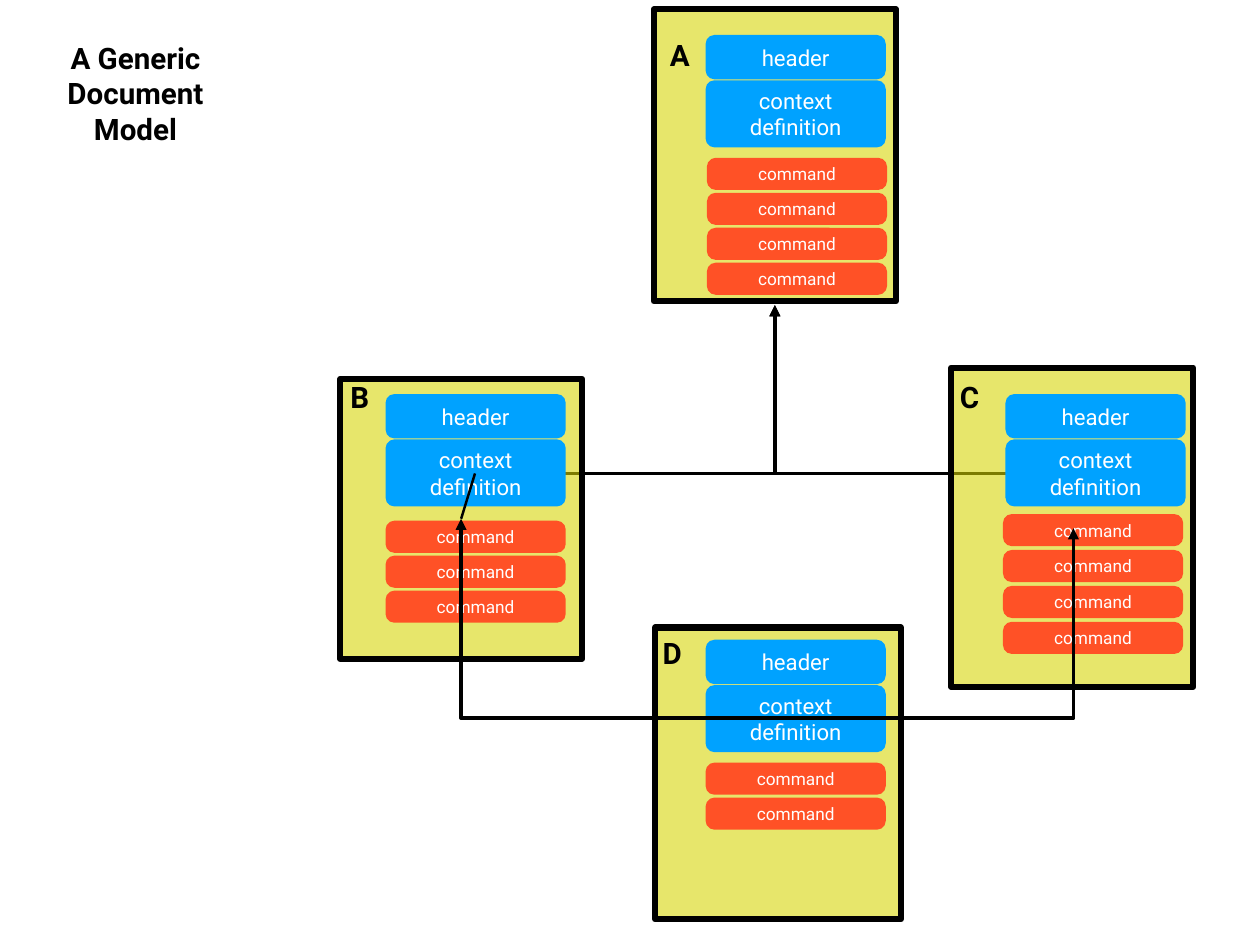
from dataclasses import dataclass

from lxml.etree import SubElement
from pptx import Presentation
from pptx.dml.color import RGBColor
from pptx.enum.shapes import MSO_CONNECTOR, MSO_SHAPE
from pptx.enum.text import MSO_ANCHOR, MSO_AUTO_SIZE, PP_ALIGN
from pptx.oxml.ns import qn
from pptx.util import Inches, Pt

BLACK = RGBColor(0x00, 0x00, 0x00)
WHITE = RGBColor(0xFF, 0xFF, 0xFF)
OLIVE = RGBColor(0xD7, 0xD5, 0x00)
BLUE = RGBColor(0x00, 0xA2, 0xFF)
ORANGE = RGBColor(0xFF, 0x51, 0x26)

# Lengths are percentages of the slide's width (x) and height (y).
BLOCK_WIDTH = 14.3
HEADER_HEIGHT = 4.7
CONTEXT_HEIGHT = 7.1
COMMAND_HEIGHT = 3.4
CONTEXT_OFFSET = 4.8


@dataclass
class Document:
    """One document: its panel box, letter corner and the start of its blocks."""
    letter: str
    panel: tuple
    letter_at: tuple
    header_at: tuple
    first_command_at: tuple
    commands: int
    pitch: float = 3.7


DOCUMENTS = [
    Document("A", (51.9, 1.0, 19.2, 30.9), (52.7, 3.4), (56.0, 3.7), (56.1, 16.7), 4),
    Document("B", (27.0, 40.1, 19.2, 29.6), (27.3, 39.6), (30.6, 41.7), (30.6, 55.1), 3),
    Document("C", (75.5, 38.9, 19.2, 33.8), (75.7, 39.6), (79.8, 41.7), (79.6, 54.4), 4, 3.8),
    Document("D", (52.0, 66.4, 19.5, 30.9), (52.1, 66.7), (56.0, 67.7), (56.0, 80.7), 2),
]

CONTEXT_B = (37.7, 50.1)
CONTEXT_C = (86.9, 50.1)
BELOW_A = (61.5, 32.3)
CONTEXT_D = (63.2, 76.0)
COMMAND_B = (36.6, 54.9)
COMMAND_C = (85.2, 55.9)


class DiagramSlide:
    font = "Roboto"
    inset = Inches(0.06)

    def __init__(self, deck):
        self.width, self.height = deck.slide_width, deck.slide_height
        self.slide = deck.slides.add_slide(deck.slide_layouts[5])
        self.shapes = self.slide.shapes

    def point(self, x, y):
        return round(self.width * x / 100), round(self.height * y / 100)

    def box(self, x, y, width, height):
        return *self.point(x, y), *self.point(width, height)

    def set_text(self, shape, text, size, color, bold=False, wrap=True):
        frame = shape.text_frame
        frame.text = text
        frame.auto_size = MSO_AUTO_SIZE.NONE
        frame.word_wrap = wrap
        frame.vertical_anchor = MSO_ANCHOR.MIDDLE
        frame.margin_left = frame.margin_right = self.inset
        frame.margin_top = frame.margin_bottom = self.inset
        for paragraph in frame.paragraphs:
            paragraph.alignment = PP_ALIGN.CENTER
            paragraph.font.name = self.font
            paragraph.font.size = Pt(size)
            paragraph.font.bold = bold
            paragraph.font.color.rgb = color

    def title(self, text, *box):
        heading = self.shapes.title
        heading.left, heading.top, heading.width, heading.height = self.box(*box)
        self.set_text(heading, text, 24, BLACK, bold=True)

    def panel(self, *box):
        panel = self.shapes.add_shape(MSO_SHAPE.RECTANGLE, *self.box(*box))
        panel.shadow.inherit = False
        panel.fill.solid()
        panel.fill.fore_color.rgb = OLIVE
        tint = panel._element.spPr.find(qn("a:solidFill"))[0]
        SubElement(tint, qn("a:alpha"), val="58000")
        panel.line.color.rgb = BLACK
        panel.line.width = Pt(5)

    def letter(self, text, x, y):
        label = self.shapes.add_textbox(*self.box(x, y, 2.5, 4.7))
        self.set_text(label, text, 24, BLACK, bold=True, wrap=False)

    def block(self, text, x, y, height, color, size):
        block = self.shapes.add_shape(
            MSO_SHAPE.ROUNDED_RECTANGLE, *self.box(x, y, BLOCK_WIDTH, height))
        block.adjustments[0] = Inches(0.1) / block.height
        block.shadow.inherit = False
        block.fill.solid()
        block.fill.fore_color.rgb = color
        block.line.fill.background()
        self.set_text(block, text, size, WHITE)

    def document(self, doc):
        self.panel(*doc.panel)
        self.letter(doc.letter, *doc.letter_at)
        x, y = doc.header_at
        self.block("header", x, y, HEADER_HEIGHT, BLUE, 18)
        self.block("context\ndefinition", x, y + CONTEXT_OFFSET, CONTEXT_HEIGHT, BLUE, 18)
        x, y = doc.first_command_at
        for row in range(doc.commands):
            self.block("command", x, y + row * doc.pitch, COMMAND_HEIGHT, ORANGE, 14)

    def elbow_arrow(self, start, end):
        """Draw a line that leaves start sideways and reaches end upwards."""
        corner = end[0], start[1]
        builder = self.shapes.build_freeform(*self.point(*start))
        builder.add_line_segments([self.point(*corner), self.point(*end)], close=False)
        arrow = builder.convert_to_shape()
        arrow.shadow.inherit = False
        arrow.fill.background()
        arrow.line.color.rgb = BLACK
        arrow.line.width = Pt(3)
        outline = arrow._element.spPr.find(qn("a:ln"))
        SubElement(outline, qn("a:tailEnd"), type="triangle")

    def line(self, start, end):
        line = self.shapes.add_connector(
            MSO_CONNECTOR.STRAIGHT, *self.point(*start), *self.point(*end))
        line.line.color.rgb = BLACK
        line.line.width = Pt(2)
        SubElement(line._element.spPr, qn("a:effectLst"))


def main():
    deck = Presentation()
    deck.slide_width, deck.slide_height = Inches(14.22), Inches(10.67)
    model = DiagramSlide(deck)
    model.title("A Generic\vDocument Model", 1.9, 3.7, 17.7, 12.3)
    for context in (CONTEXT_B, CONTEXT_C):
        model.elbow_arrow(context, BELOW_A)
    for doc in DOCUMENTS:
        model.document(doc)
    model.line(COMMAND_B, CONTEXT_B)
    for command in (COMMAND_B, COMMAND_C):
        model.elbow_arrow(CONTEXT_D, command)
    deck.save("out.pptx")


if __name__ == "__main__":
    main()
